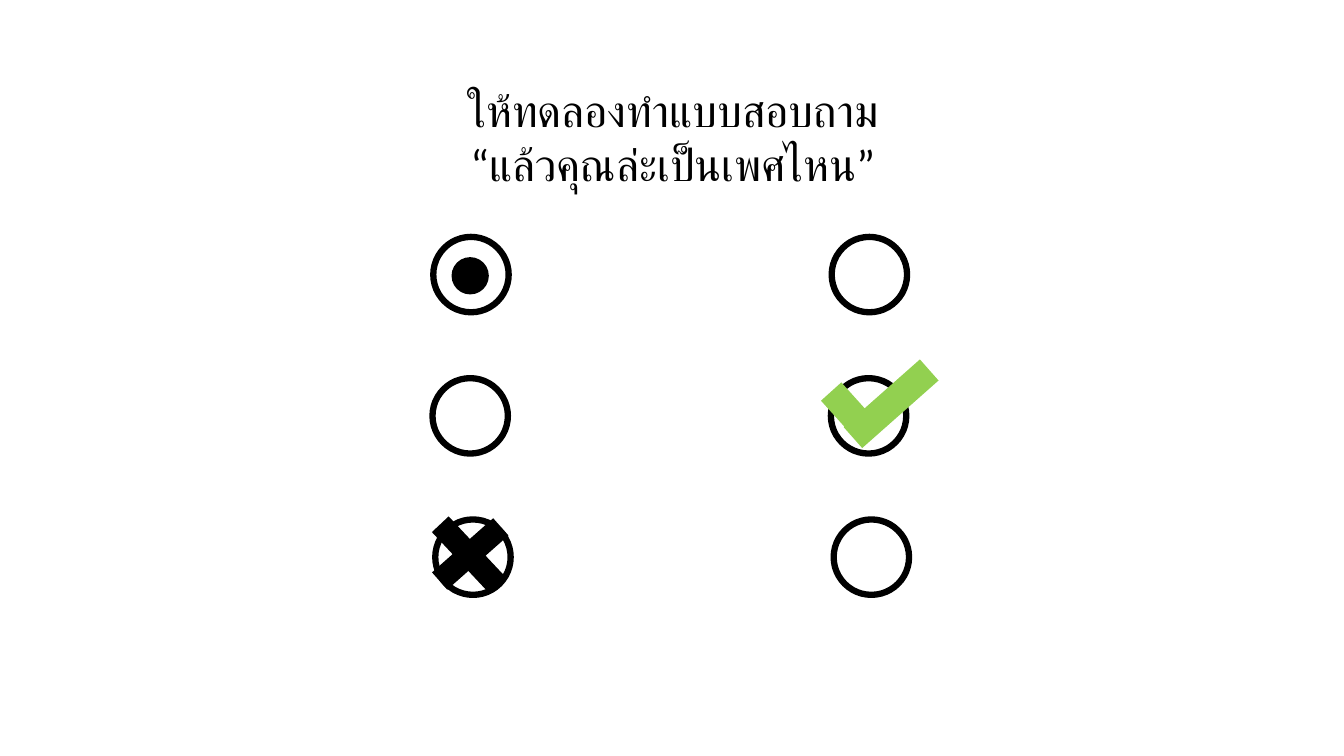
from pptx import Presentation, util as u
from pptx.dml.color import RGBColor
from pptx.enum import shapes, text
from pptx.oxml.ns import qn
from lxml import etree

OVAL, RECT = shapes.MSO_SHAPE.OVAL, shapes.MSO_SHAPE.RECTANGLE
BLACK, GREEN = "000000", "92D050"


def rgb(value):
    return RGBColor.from_string(value)


def add_mark(parent, kind, x, y, w, h, fill=None, line=None, rot=0):
    sp = parent.shapes.add_shape(kind, u.Cm(x), u.Cm(y), u.Cm(w), u.Cm(h))
    sp.shadow.inherit = False
    sp.rotation = rot
    if fill:
        sp.fill.solid()
        sp.fill.fore_color.rgb = rgb(fill)
    else:
        sp.fill.background()
    if line:
        sp.line.color.rgb = rgb(line)
        sp.line.width = u.Pt(4.5)
    else:
        sp.line.fill.background()


prs = Presentation()
prs.slide_width, prs.slide_height = u.Cm(33.87), u.Cm(19.05)
s = prs.slides.add_slide(prs.slide_layouts[5])

# Title
title = s.shapes.title
title.left, title.top, title.width, title.height = (
    u.Cm(10.92), u.Cm(1.96), u.Cm(12.07), u.Cm(3))
tf = title.text_frame
tf.word_wrap = True
tf.auto_size = text.MSO_AUTO_SIZE.SHAPE_TO_FIT_TEXT
tf.vertical_anchor = text.MSO_ANCHOR.TOP
for i, line in enumerate(["ให้ทดลองทำแบบสอบถาม", "“แล้วคุณล่ะเป็นเพศไหน”"]):
    p = tf.add_paragraph() if i else tf.paragraphs[0]
    p.alignment = text.PP_ALIGN.CENTER
    r = p.add_run()
    r.text = line
    r.font.size = u.Pt(32)
    r.font.name = "Calibri"
    r.font.color.rgb = rgb(BLACK)
    # Thai is set in the complex-script font
    etree.SubElement(r.font._element, qn("a:cs"), typeface="Calibri")

# Answer circles: three rows, two columns
for row, left in enumerate([10.92, 10.9, 10.97]):
    for col in range(2):
        add_mark(s, OVAL, left + 10.04 * col, 5.97 + 3.56 * row, 1.9, 1.9, line=BLACK)

# Dot in the first circle
add_mark(s, OVAL, 11.38, 6.48, 0.94, 0.94, fill=BLACK)

# Check mark
check = s.shapes.add_group_shape()
add_mark(check, RECT, 22.1, 8.89, 0.71, 2.57, GREEN, rot=48.5)
add_mark(check, RECT, 20.96, 9.73, 0.69, 1.07, GREEN, rot=318)

# Cross
cross = s.shapes.add_group_shape()
for x, rot in [(11.56, 48.5), (11.51, 316.8)]:
    add_mark(cross, RECT, x, 12.93, 0.58, 2.06, BLACK, rot=rot)

prs.save("out.pptx")
